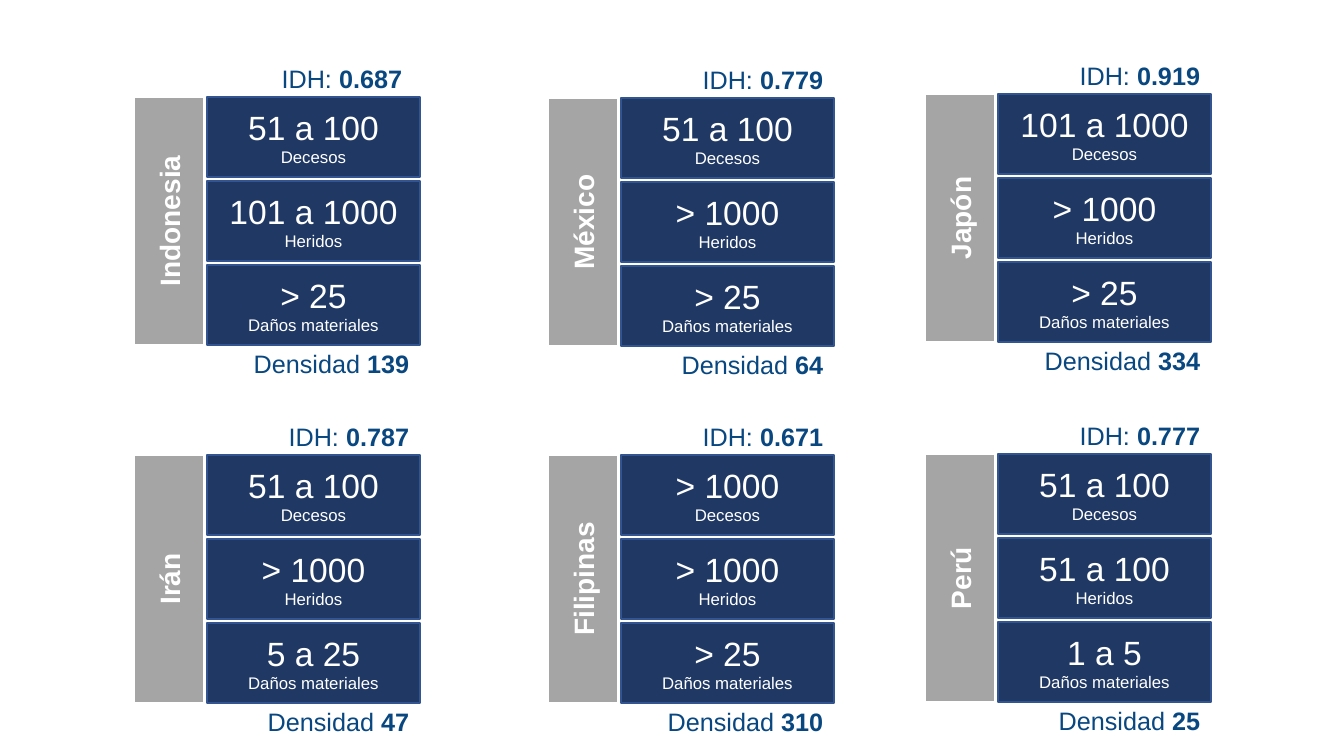
from dataclasses import dataclass

from pptx import Presentation
from pptx.dml.color import RGBColor
from pptx.enum.shapes import MSO_SHAPE
from pptx.enum.text import MSO_ANCHOR, PP_ALIGN
from pptx.shapes.autoshape import Shape
from pptx.shapes.group import GroupShape
from pptx.util import Emu, Pt

RECT = MSO_SHAPE.RECTANGLE
ROUND = MSO_SHAPE.ROUNDED_RECTANGLE
MIDDLE = MSO_ANCHOR.MIDDLE
CENTER, RIGHT = PP_ALIGN.CENTER, PP_ALIGN.RIGHT
SCALE = 914400 / 100.8


@dataclass(frozen=True)
class Theme:
    font: str = "Arial"
    navy: str = "203864"
    edge: str = "325491"
    grey: str = "A5A5A5"
    white: str = "FFFFFF"
    blue: str = "094780"
    large: int = 24
    name: int = 20
    note: int = 18
    small: int = 12


@dataclass(frozen=True)
class Card:
    name: str
    left: int
    top: int
    index: str
    counts: tuple[str, str, str]
    density: str


THEME = Theme()
LABELS = ("Decesos", "Heridos", "Daños materiales")
BOX_W, BOX_H, PITCH = 213, 80, 84
BAR_W, BAR_H = 248, 70
NOTE_H = 37
CARDS = (
    Card("Indonesia", 207, 97, "0.687 ", ("51 a 100", "101 a 1000", "> 25"), "139"),
    Card("México", 621, 98, "0.779", ("51 a 100", "> 1000", "> 25"), "64"),
    Card("Japón", 998, 94, "0.919", ("101 a 1000", "> 1000", "> 25"), "334"),
    Card("Irán", 207, 455, "0.787", ("51 a 100", "> 1000", "5 a 25"), "47"),
    Card("Filipinas", 621, 455, "0.671", ("> 1000", "> 1000", "> 25"), "310"),
    Card("Perú", 998, 454, "0.777", ("51 a 100", "51 a 100", "1 a 5"), "25"),
)


def px(size: int) -> Emu:
    return Emu(round(size * SCALE))


def style(line, size: int, color: str, align: PP_ALIGN) -> None:
    line.alignment = align
    for run in line.runs:
        run.font.name = THEME.font
        run.font.size = Pt(size)
        run.font.color.rgb = RGBColor.from_string(color)


def block(group: GroupShape, kind: MSO_SHAPE, left: int, top: int,
          width: int, height: int, fill: str, edge: str, weight: float) -> Shape:
    shape = group.shapes.add_shape(kind, px(left), px(top), px(width), px(height))
    shape.shadow.inherit = False
    shape.fill.solid()
    shape.fill.fore_color.rgb = RGBColor.from_string(fill)
    shape.line.color.rgb = RGBColor.from_string(edge)
    shape.line.width = Pt(weight)
    shape.text_frame.word_wrap = True
    shape.text_frame.vertical_anchor = MIDDLE
    return shape


def note(group: GroupShape, left: int, top: int, width: int,
         label: str, value: str) -> None:
    frame = group.shapes.add_textbox(px(left), px(top), px(width), px(NOTE_H)).text_frame
    frame.word_wrap = True
    frame.vertical_anchor = MIDDLE
    line = frame.paragraphs[0]
    line.text = label
    run = line.add_run()
    run.text = value
    run.font.bold = True
    style(line, THEME.note, THEME.blue, RIGHT)


def bar(group: GroupShape, card: Card) -> None:
    shape = block(group, RECT, card.left - 162, card.top + 89, BAR_W, BAR_H,
                  THEME.grey, THEME.white, 1.5)
    shape.rotation = 270
    shape.text_frame.text = card.name
    line = shape.text_frame.paragraphs[0]
    style(line, THEME.name, THEME.white, CENTER)
    line.runs[0].font.bold = True


def box(group: GroupShape, left: int, top: int, count: str, label: str) -> None:
    shape = block(group, ROUND, left, top, BOX_W, BOX_H, THEME.navy, THEME.edge, 1)
    shape.adjustments[0] = 0
    shape.text_frame.text = f"{count}\n{label}"
    for line, size in zip(shape.text_frame.paragraphs, (THEME.large, THEME.small)):
        style(line, size, THEME.white, CENTER)


def draw(group: GroupShape, card: Card) -> None:
    note(group, card.left + 37, card.top - 37, 175, "IDH: ", card.index)
    bar(group, card)
    for row, (count, label) in enumerate(zip(card.counts, LABELS)):
        box(group, card.left, card.top + row * PITCH, count, label)
    note(group, card.left - 74, card.top + 248, 286, "Densidad ", card.density)


deck = Presentation()
deck.slide_width, deck.slide_height = px(1344), px(756)
slide = deck.slides.add_slide(deck.slide_layouts[6])
for card in CARDS:
    draw(slide.shapes.add_group_shape(), card)
deck.save("out.pptx")
